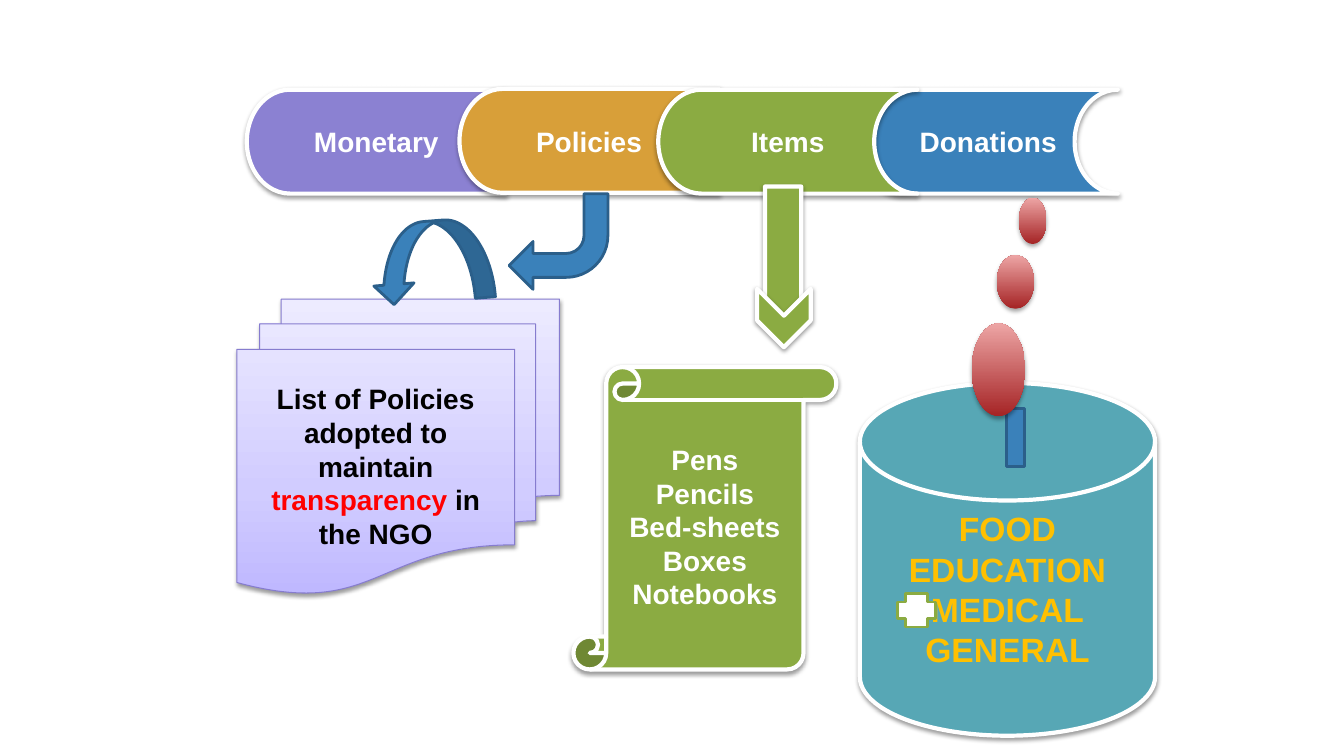
"""Build the slide showing the kinds of support an NGO receives."""
from lxml.etree import SubElement
from pptx import Presentation
from pptx.dml.color import RGBColor
from pptx.enum.shapes import MSO_SHAPE as Kind
from pptx.enum.text import MSO_ANCHOR, PP_ALIGN
from pptx.oxml.ns import qn
from pptx.util import Cm, Pt

WHITE, BLACK, RED, GOLD = "FFFFFF", "000000", "FF0000", "FFC000"
BLUE, NAVY, GREEN, TEAL = "3A81BA", "2B5F8A", "8BAB42", "57A7B5"
LILAC_FADE = [(0, "BFB8FF"), (35, "D1CCFF"), (100, "EDEBFF")]
RED_FADE = [(0, "A52425"), (100, "EDA5A5")]

WHITE_EDGE, NAVY_EDGE = (WHITE, 3), (NAVY, 2)
SOFT, DROP_SHADOW = (38, 1.6), (35, 1.8)

TAB_SIZE = (6.53, 2.62)
TABS = [
    ("Monetary", 6.22, 2.26, "8B81D2"),
    ("Policies", 11.58, 2.24, "D89F39"),
    ("Donations", 21.64, 2.26, BLUE),
    ("Items", 16.59, 2.26, GREEN),
]
ITEMS = ["Pens", "Pencils", "Bed-sheets", "Boxes", "Notebooks"]
CAUSES = ["FOOD", "EDUCATION", "MEDICAL", "GENERAL"]
POLICY_NOTE = [
    ("List of Policies adopted to maintain ", BLACK),
    ("transparency", RED),
    (" in the NGO", BLACK),
]
DROPS = [
    (24.49, 8.15, 1.35, 2.34),
    (25.68, 4.98, 0.69, 1.17),
    (25.12, 6.43, 0.94, 1.35),
]


def rgb(code):
    return RGBColor.from_string(code)


def paint_fade(shape, stops):
    shape.fill.gradient()
    shape.fill.gradient_angle = 90
    stop_list = shape.element.spPr.find(".//" + qn("a:gsLst"))
    stop_list.clear()
    for position, code in stops:
        stop = SubElement(stop_list, qn("a:gs"), pos=str(position * 1000))
        SubElement(stop, qn("a:srgbClr"), val=code)


def cast_shadow(shape, opacity, distance):
    effects = shape.element.spPr.find(qn("a:effectLst"))
    shadow = SubElement(
        effects, qn("a:outerShdw"), blurRad=str(Pt(3.1)), dist=str(Pt(distance)),
        dir="5400000", rotWithShape="0")
    color = SubElement(shadow, qn("a:srgbClr"), val=BLACK)
    SubElement(color, qn("a:alpha"), val=str(opacity * 1000))


def draw(page, kind, place, fill, edge=None, shadow=None, turn=0):
    shape = page.shapes.add_shape(kind, *map(Cm, place))
    shape.rotation = turn
    shape.shadow.inherit = False
    if isinstance(fill, list):
        paint_fade(shape, fill)
    else:
        shape.fill.solid()
        shape.fill.fore_color.rgb = rgb(fill)
    if edge:
        shape.line.color.rgb = rgb(edge[0])
        shape.line.width = Pt(edge[1])
    else:
        shape.line.fill.background()
    if shadow:
        cast_shadow(shape, *shadow)
    return shape


def write(shape, lines, size=20):
    frame = shape.text_frame
    frame.word_wrap = True
    frame.vertical_anchor = MSO_ANCHOR.MIDDLE
    for index, spans in enumerate(lines):
        para = frame.add_paragraph() if index else frame.paragraphs[0]
        para.alignment = PP_ALIGN.CENTER
        para.font.name, para.font.size, para.font.bold = "Arial", Pt(size), True
        for text, code in spans:
            span = para.add_run()
            span.text = text
            span.font.color.rgb = rgb(code)


def main():
    deck = Presentation()
    deck.slide_width, deck.slide_height = Cm(33.87), Cm(19.05)
    page = deck.slides.add_slide(deck.slide_layouts[6])

    for label, left, top, code in TABS:
        tab = draw(page, Kind.FLOWCHART_STORED_DATA, (left, top, *TAB_SIZE),
                   code, WHITE_EDGE, SOFT)
        write(tab, [[(label, WHITE)]])

    scroll = draw(page, Kind.VERTICAL_SCROLL, (14.45, 9.25, 6.63, 7.62),
                  GREEN, WHITE_EDGE, SOFT)
    write(scroll, [[(item, WHITE)] for item in ITEMS])
    draw(page, Kind.PENTAGON, (18.06, 5.92, 3.35, 0.91), GREEN, WHITE_EDGE, SOFT, 90)

    papers = draw(page, Kind.FLOWCHART_MULTIDOCUMENT, (5.97, 7.54, 8.13, 7.42),
                  LILAC_FADE, ("867CCF", 0.75), SOFT)
    write(papers, [POLICY_NOTE])
    draw(page, Kind.BENT_ARROW, (12.83, 4.88, 2.49, 2.41), BLUE, NAVY_EDGE, turn=180)
    draw(page, Kind.CURVED_RIGHT_ARROW, (9.86, 5.05, 2.03, 3.07), BLUE, NAVY_EDGE,
         turn=85.5)

    money_box = draw(page, Kind.FLOWCHART_MAGNETIC_DISK, (21.67, 9.65, 7.44, 8.89),
                     TEAL, WHITE_EDGE, SOFT)
    write(money_box, [[(cause, GOLD)] for cause in CAUSES], 24)
    draw(page, Kind.RECTANGLE, (25.37, 10.29, 0.46, 1.47), BLUE, NAVY_EDGE)
    for place in DROPS:
        draw(page, Kind.OVAL, place, RED_FADE, shadow=DROP_SHADOW)
    draw(page, Kind.CROSS, (22.61, 14.96, 0.97, 0.84), WHITE, (GREEN, 2))

    draw(page, Kind.CHEVRON, (19.02, 7.34, 1.47, 1.35), GREEN, WHITE_EDGE, SOFT, 90)

    deck.save("out.pptx")


if __name__ == "__main__":
    main()
